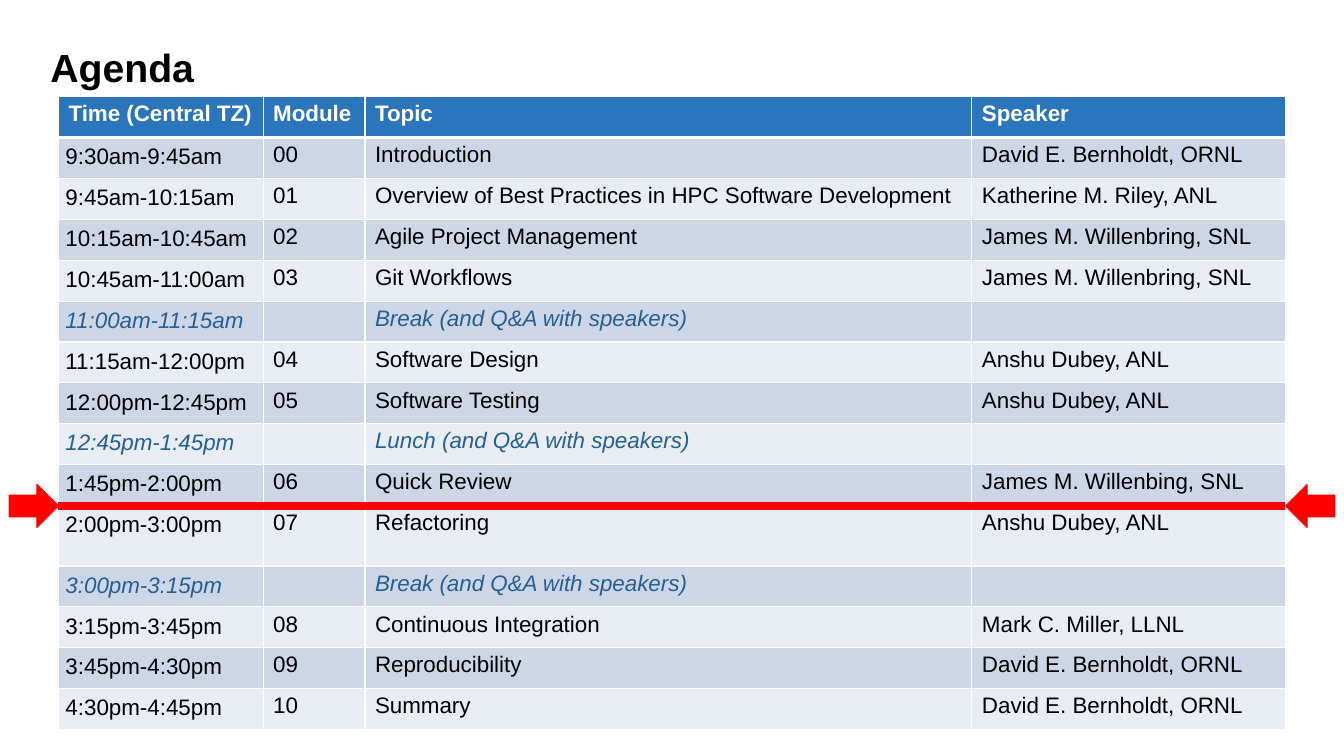
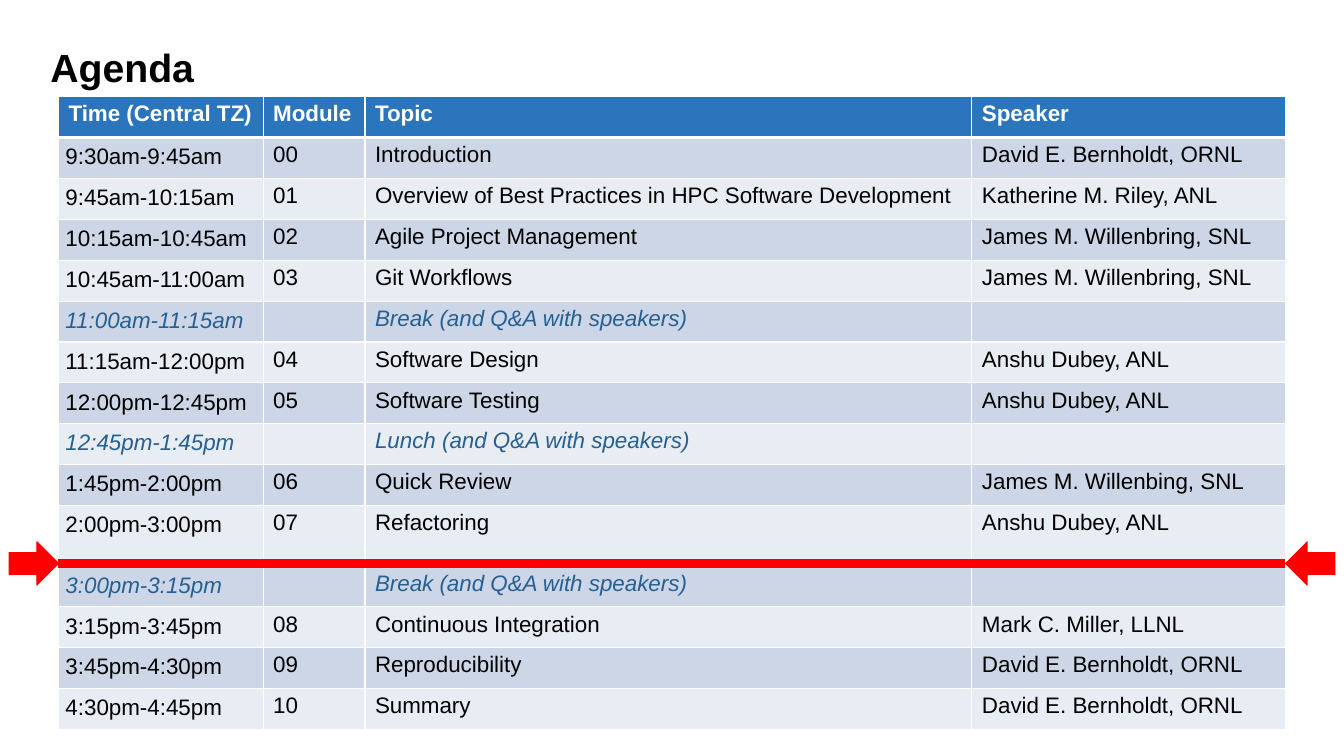
"""Build two agenda slides that mark progress through a tutorial day."""
import lxml.etree
import pptx
import pptx.dml.color
import pptx.enum.shapes
import pptx.enum.text
import pptx.oxml.ns
import pptx.util

HEADER = ("Time (Central TZ)", "Module", "Topic", "Speaker")
SESSIONS = [
    ("9:30am-9:45am", "00", "Introduction", "David E. Bernholdt, ORNL"),
    ("9:45am-10:15am", "01", "Overview of Best Practices in HPC Software Development", "Katherine M. Riley, ANL"),
    ("10:15am-10:45am", "02", "Agile Project Management", "James M. Willenbring, SNL"),
    ("10:45am-11:00am", "03", "Git Workflows", "James M. Willenbring, SNL"),
    ("11:00am-11:15am", "", "Break (and Q&A with speakers)", ""),
    ("11:15am-12:00pm", "04", "Software Design", "Anshu Dubey, ANL"),
    ("12:00pm-12:45pm", "05", "Software Testing", "Anshu Dubey, ANL"),
    ("12:45pm-1:45pm", "", "Lunch (and Q&A with speakers)", ""),
    ("1:45pm-2:00pm", "06", "Quick Review", "James M. Willenbing, SNL"),
    ("2:00pm-3:00pm", "07", "Refactoring", "Anshu Dubey, ANL"),
    ("3:00pm-3:15pm", "", "Break (and Q&A with speakers)", ""),
    ("3:15pm-3:45pm", "08", "Continuous Integration", "Mark C. Miller, LLNL"),
    ("3:45pm-4:30pm", "09", "Reproducibility", "David E. Bernholdt, ORNL"),
    ("4:30pm-4:45pm", "10", "Summary", "David E. Bernholdt, ORNL"),
]
MARKER_LEVELS = (5.02, 5.59)

THEME = {
    "font": "Arial", "title_size": 28, "cell_size": 16,
    "text": "000000", "header_text": "FFFFFF", "pause_text": "266093",
    "header": "2A75BB", "bands": ("CDD6E7", "E8ECF3"),
    "grid": "FFFFFF", "marker": "FF0000",
}
SLIDE_W, SLIDE_H = 13.33, 7.5
LEFT, TOP = 0.58, 0.96
COLUMNS = (2.03, 1.01, 6.02, 3.11)
TABLE_W, TABLE_H = sum(COLUMNS), 6.28
TALL_ROW, TALL_H = 10, 0.6
ROW_H = (TABLE_H - TALL_H) / len(SESSIONS)
TIME_MARGIN = 0.07
ARROW_W, ARROW_H = 0.49, 0.43

inches = pptx.util.Inches


def rgb(name):
    """Return a colour object for a hex string."""
    return pptx.dml.color.RGBColor.from_string(name)


def style(p, size, color, bold=False, italic=False):
    """Format every run of a paragraph."""
    for r in p.runs:
        r.font.name = THEME["font"]
        r.font.size = pptx.util.Pt(size)
        r.font.color.rgb = rgb(color)
        r.font.bold = bold
        r.font.italic = italic


def add_title(s, text):
    """Place and format the title placeholder."""
    sp = s.shapes.title
    sp.left, sp.top, sp.width, sp.height = map(inches, (0.4, 0.45, 12.44, 1))
    tf = sp.text_frame
    tf.text = text
    tf.auto_size = pptx.enum.text.MSO_AUTO_SIZE.NONE
    tf.vertical_anchor = pptx.enum.text.MSO_ANCHOR.TOP
    p = tf.paragraphs[0]
    p.alignment = pptx.enum.text.PP_ALIGN.LEFT
    p.line_spacing = 0.85
    style(p, THEME["title_size"], THEME["text"], bold=True)


def set_borders(cell, row):
    """Draw the grid lines of a cell, heavier under the header."""
    widths = {"L": 1, "R": 1, "T": 3 if row == 1 else 1, "B": 3 if row == 0 else 1}
    tag = pptx.oxml.ns.qn
    props = cell._tc.get_or_add_tcPr()
    for index, (side, width) in enumerate(widths.items()):
        ln = lxml.etree.Element(tag("a:ln" + side), w=str(pptx.util.Pt(width)))
        fill = lxml.etree.SubElement(ln, tag("a:solidFill"))
        lxml.etree.SubElement(fill, tag("a:srgbClr"), val=THEME["grid"])
        props.insert(index, ln)


def fill_cell(cell, text, row, col, pause):
    """Write and format one agenda cell."""
    header = row == 0
    cell.text = text
    cell.fill.solid()
    cell.fill.fore_color.rgb = rgb(THEME["header"] if header else THEME["bands"][(row - 1) % 2])
    if col == 0 and not header:
        cell.margin_left = cell.margin_right = inches(TIME_MARGIN)
        cell.margin_top = cell.margin_bottom = inches(TIME_MARGIN)
    color = THEME["header_text" if header else "pause_text" if pause else "text"]
    style(cell.text_frame.paragraphs[0], THEME["cell_size"], color, header, pause)
    set_borders(cell, row)


def add_agenda(s):
    """Add the agenda table."""
    rows = [HEADER] + SESSIONS
    frame = s.shapes.add_table(len(rows), len(COLUMNS), *map(inches, (LEFT, TOP, TABLE_W, TABLE_H)))
    table = frame.table
    for col, width in enumerate(COLUMNS):
        table.columns[col].width = inches(width)
    for row, texts in enumerate(rows):
        table.rows[row].height = inches(TALL_H if row == TALL_ROW else ROW_H)
        for col, text in enumerate(texts):
            fill_cell(table.cell(row, col), text, row, col, pause=not texts[1])


def add_marker(s, y):
    """Add the progress line with an arrow pointing in from each side."""
    right = LEFT + TABLE_W
    line = s.shapes.add_connector(
        pptx.enum.shapes.MSO_CONNECTOR.STRAIGHT, *map(inches, (LEFT, y, right, y)))
    line.line.color.rgb = rgb(THEME["marker"])
    line.line.width = pptx.util.Pt(6)
    lxml.etree.SubElement(line._element.spPr, pptx.oxml.ns.qn("a:effectLst"))
    for x, rotation in ((LEFT - ARROW_W, 0), (right, 180)):
        sp = s.shapes.add_shape(
            pptx.enum.shapes.MSO_SHAPE.RIGHT_ARROW,
            *map(inches, (x, y - ARROW_H / 2, ARROW_W, ARROW_H)))
        sp.rotation = rotation
        sp.shadow.inherit = False
        sp.fill.solid()
        sp.fill.fore_color.rgb = rgb(THEME["marker"])
        sp.line.color.rgb = rgb(THEME["marker"])
        sp.line.width = pptx.util.Pt(0.75)


def main():
    """Build and save the deck."""
    prs = pptx.Presentation()
    prs.slide_width, prs.slide_height = inches(SLIDE_W), inches(SLIDE_H)
    for y in MARKER_LEVELS:
        s = prs.slides.add_slide(prs.slide_layouts.get_by_name("Title Only"))
        add_title(s, "Agenda")
        add_agenda(s)
        add_marker(s, y)
    prs.save("out.pptx")


if __name__ == "__main__":
    main()
